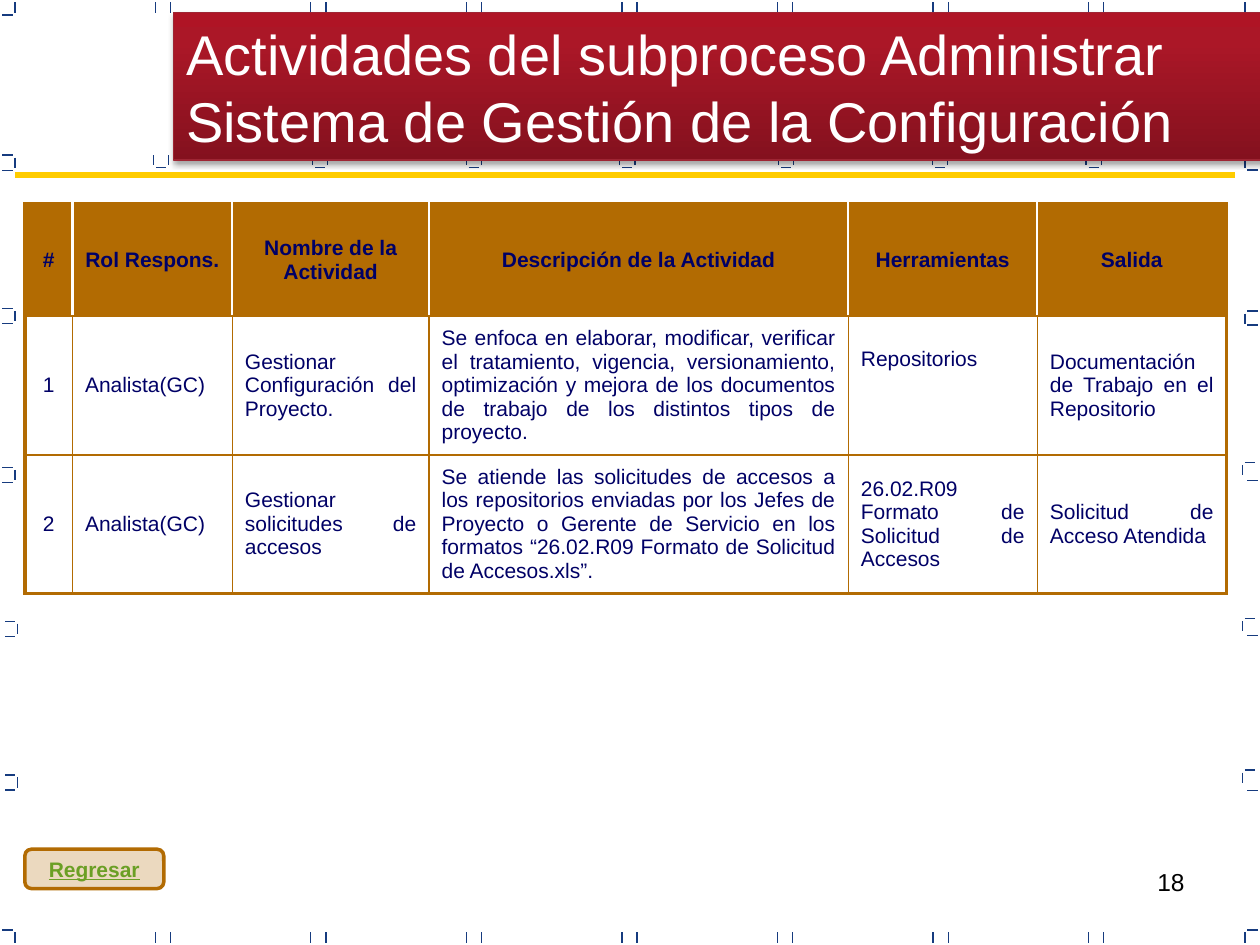
from typing import NamedTuple

from lxml import etree
from pptx import Presentation
from pptx import util as u
from pptx.dml.color import RGBColor
from pptx.enum import shapes, text
from pptx.oxml import parse_xml
from pptx.oxml.ns import nsdecls, qn

Pt = u.Pt
ALIGN = text.PP_ALIGN
ANCHOR = text.MSO_ANCHOR
COLORS = {
    "tick": "163B7F", "ochre": "B26B02", "white": "FFFFFF", "navy": "000066",
    "black": "000000", "green": "6B9F25", "gold": "FFCC00", "banner_edge": "9E2533",
    "banner_dark": "84111E", "banner_mid": "AB1727", "banner_light": "AF1425",
}
GAP = 1.44
TICK = 5.76
PAIR = TICK + 2 * GAP
STEP = 88.9
RIGHT = 711.4
BOTTOM = 531.4


class Mark(NamedTuple):
    x: float
    y: float
    upright: bool


class Column(NamedTuple):
    heading: str
    width: float
    align: ALIGN


class Activity(NamedTuple):
    number: str
    role: str
    name: str
    description: str
    tools: str
    output: str


COLUMNS = [
    Column("#", 27.2, ALIGN.CENTER),
    Column("Rol Respons.", 91.4, ALIGN.JUSTIFY),
    Column("Nombre de la Actividad", 112.4, ALIGN.JUSTIFY),
    Column("Descripción de la Actividad", 239.6, ALIGN.JUSTIFY),
    Column("Herramientas", 108, ALIGN.JUSTIFY),
    Column("Salida", 108, ALIGN.JUSTIFY),
]
ACTIVITIES = [
    Activity("1", "Analista(GC)", "Gestionar Configuración del Proyecto.",
             "Se enfoca en elaborar, modificar, verificar el tratamiento, vigencia, "
             "versionamiento, optimización y mejora de los documentos de trabajo de los "
             "distintos tipos de proyecto.",
             "Repositorios", "Documentación de Trabajo en el Repositorio"),
    Activity("2", "Analista(GC)", "Gestionar solicitudes de accesos",
             "Se atiende las solicitudes de accesos a los repositorios enviadas por los "
             "Jefes de Proyecto o Gerente de Servicio en los formatos “26.02.R09 Formato "
             "de Solicitud de Accesos.xls”.",
             "26.02.R09 Formato de Solicitud de Accesos", "Solicitud de Acceso Atendida"),
]
ROW_HEIGHTS = [64, 78.6, 78.6]


def rgb(name: str) -> RGBColor:
    return RGBColor.from_string(COLORS[name])


def write(frame, words: str, *, size: float = 12, color: str = "navy", bold: bool = False,
          underline: bool = False, align: ALIGN = ALIGN.LEFT) -> None:
    paragraph = frame.paragraphs[0]
    paragraph.alignment = align
    run = paragraph.add_run()
    run.text = words
    run.font.name = "Arial"
    run.font.size = Pt(size)
    run.font.bold = bold
    run.font.underline = underline
    run.font.color.rgb = rgb(color)


def place(shape, left: float, top: float, width: float, height: float) -> None:
    shape.left, shape.top = Pt(left), Pt(top)
    shape.width, shape.height = Pt(width), Pt(height)


def draw_line(slide, x1: float, y1: float, x2: float, y2: float, color: str,
              width: float) -> None:
    line = slide.shapes.add_connector(shapes.MSO_CONNECTOR.STRAIGHT,
                                      Pt(x1), Pt(y1), Pt(x2), Pt(y2))
    line.line.color.rgb = rgb(color)
    line.line.width = Pt(width)
    etree.SubElement(line.element.spPr, qn("a:effectLst"))


def frame_marks() -> list[Mark]:
    marks = []
    for index in range(7):
        for x in (88.7 + index * STEP, 88.7 + index * STEP + PAIR):
            marks += [Mark(x, GAP, True), Mark(x, BOTTOM + GAP, True)]
    for x in (87.8, 178.6, 266.4, 354.2, 445, 532.8, 620.6):
        marks += [Mark(x, 88.6, True), Mark(x + PAIR, 88.6, True),
                  Mark(x + GAP, 95.8, False)]
    for x, top in ((1.44, 88.6), (1.44, 176.4), (1.44, 267.1), (2.88, 355), (2.88, 442.8)):
        marks += [Mark(x, top, False), Mark(x, top + PAIR, False),
                  Mark(x + TICK + GAP, top + GAP, True)]
    for x, top in ((RIGHT, 88.6), (RIGHT, 177.8), (RIGHT - GAP, 264.2),
                   (RIGHT - GAP, 353.5), (RIGHT - GAP, 440)):
        marks += [Mark(x + GAP, top, False), Mark(x, top + GAP, True)]
    marks += [Mark(RIGHT + GAP, 97.2 + index * 88.6, False) for index in range(5)]
    for x, flat_x in ((PAIR, GAP), (RIGHT, RIGHT + GAP)):
        marks += [Mark(x, GAP, True), Mark(flat_x, PAIR, False),
                  Mark(x, BOTTOM + GAP, True), Mark(flat_x, BOTTOM, False)]
    return marks


def draw_mark(slide, mark: Mark) -> None:
    dx, dy = (0, TICK) if mark.upright else (TICK, 0)
    draw_line(slide, mark.x, mark.y, mark.x + dx, mark.y + dy, "tick", 0.75)


def set_borders(cell, sides: dict[str, tuple[str, float]]) -> None:
    properties = cell._tc.get_or_add_tcPr()
    for side in "LRTB":
        color, width = sides[side]
        properties.append(parse_xml(
            f'<a:ln{side} {nsdecls("a")} w="{Pt(width)}"><a:solidFill>'
            f'<a:srgbClr val="{COLORS[color]}"/></a:solidFill></a:ln{side}>'))


def draw_activities(slide) -> None:
    table = slide.shapes.add_table(
        len(ROW_HEIGHTS), len(COLUMNS), Pt(14.2), Pt(116.6),
        Pt(sum(column.width for column in COLUMNS)), Pt(sum(ROW_HEIGHTS))).table
    table.first_row = table.horz_banding = False
    last_row, last_column = len(ROW_HEIGHTS) - 1, len(COLUMNS) - 1
    rows = [[column.heading for column in COLUMNS], *ACTIVITIES]
    for c, column in enumerate(COLUMNS):
        table.columns[c].width = Pt(column.width)
    for r, (height, entries) in enumerate(zip(ROW_HEIGHTS, rows)):
        table.rows[r].height = Pt(height)
        heading = r == 0
        inner = ("white", 1.5) if heading else ("ochre", 1)
        outer = ("ochre", 2.25)
        for c, (column, words) in enumerate(zip(COLUMNS, entries)):
            cell = table.cell(r, c)
            cell.vertical_anchor = ANCHOR.MIDDLE
            set_borders(cell, {
                "L": outer if c == 0 else inner,
                "R": outer if c == last_column else inner,
                "T": outer if heading else ("ochre", 1.5),
                "B": outer if r == last_row else ("ochre", 1.5)})
            if heading:
                cell.fill.solid()
                cell.fill.fore_color.rgb = rgb("ochre")
            else:
                cell.fill.background()
            write(cell.text_frame, words, bold=heading,
                  align=ALIGN.CENTER if heading else column.align)
    table.cell(1, 4).margin_bottom = Pt(33)


def draw_return_button(slide) -> None:
    button = slide.shapes.add_shape(shapes.MSO_SHAPE.FLOWCHART_ALTERNATE_PROCESS,
                                    Pt(14.2), Pt(485.3), Pt(79.4), Pt(22.5))
    button.shadow.inherit = False
    button.fill.solid()
    button.fill.fore_color.rgb = rgb("ochre")
    tint = button.element.spPr.find(qn("a:solidFill")).find(qn("a:srgbClr"))
    etree.SubElement(tint, qn("a:alpha"), val="25000")
    button.line.color.rgb = rgb("ochre")
    button.line.width = Pt(2)
    button.text_frame.word_wrap = False
    button.text_frame.vertical_anchor = ANCHOR.MIDDLE
    write(button.text_frame, "Regresar", color="green", bold=True, underline=True,
          align=ALIGN.CENTER)


def draw_banner(slide) -> None:
    banner = slide.shapes.title
    place(banner, 99.2, 7.2, 650.2, 84.2)
    stops = "".join(
        f'<a:gs pos="{position}000"><a:srgbClr val="{COLORS[color]}"/></a:gs>'
        for position, color in ((0, "banner_dark"), (80, "banner_mid"), (100, "banner_light")))
    properties = banner.element.spPr
    properties.append(parse_xml(
        f'<a:gradFill {nsdecls("a")} rotWithShape="1"><a:gsLst>{stops}</a:gsLst>'
        '<a:lin ang="16200000" scaled="0"/></a:gradFill>'))
    banner.line.color.rgb = rgb("banner_edge")
    banner.line.width = Pt(0.75)
    properties.append(parse_xml(
        f'<a:effectLst {nsdecls("a")}><a:outerShdw blurRad="{Pt(3.1)}" dist="{Pt(1.8)}" '
        f'dir="5400000" rotWithShape="0"><a:srgbClr val="{COLORS["black"]}">'
        '<a:alpha val="35000"/></a:srgbClr></a:outerShdw></a:effectLst>'))
    banner.text_frame.word_wrap = True
    banner.text_frame.auto_size = text.MSO_AUTO_SIZE.NONE
    banner.text_frame.vertical_anchor = ANCHOR.BOTTOM
    write(banner.text_frame,
          "Actividades del subproceso Administrar Sistema de Gestión de la Configuración",
          size=32, color="white")
    slide.shapes.element.append(banner.element)


def main() -> None:
    deck = Presentation()
    deck.slide_width, deck.slide_height = Pt(720), Pt(540)
    slide = deck.slides.add_slide(deck.slide_layouts[5])
    page = slide.shapes.add_textbox(Pt(516.2), Pt(491.8), Pt(167.8), Pt(37.4))
    page.text_frame.word_wrap = True
    write(page.text_frame, "18", size=14, color="black", align=ALIGN.RIGHT)
    for mark in frame_marks():
        draw_mark(slide, mark)
    draw_activities(slide)
    draw_return_button(slide)
    draw_banner(slide)
    draw_line(slide, 8.6, 100, 705.6, 100, "gold", 3)
    deck.save("out.pptx")


if __name__ == "__main__":
    main()
